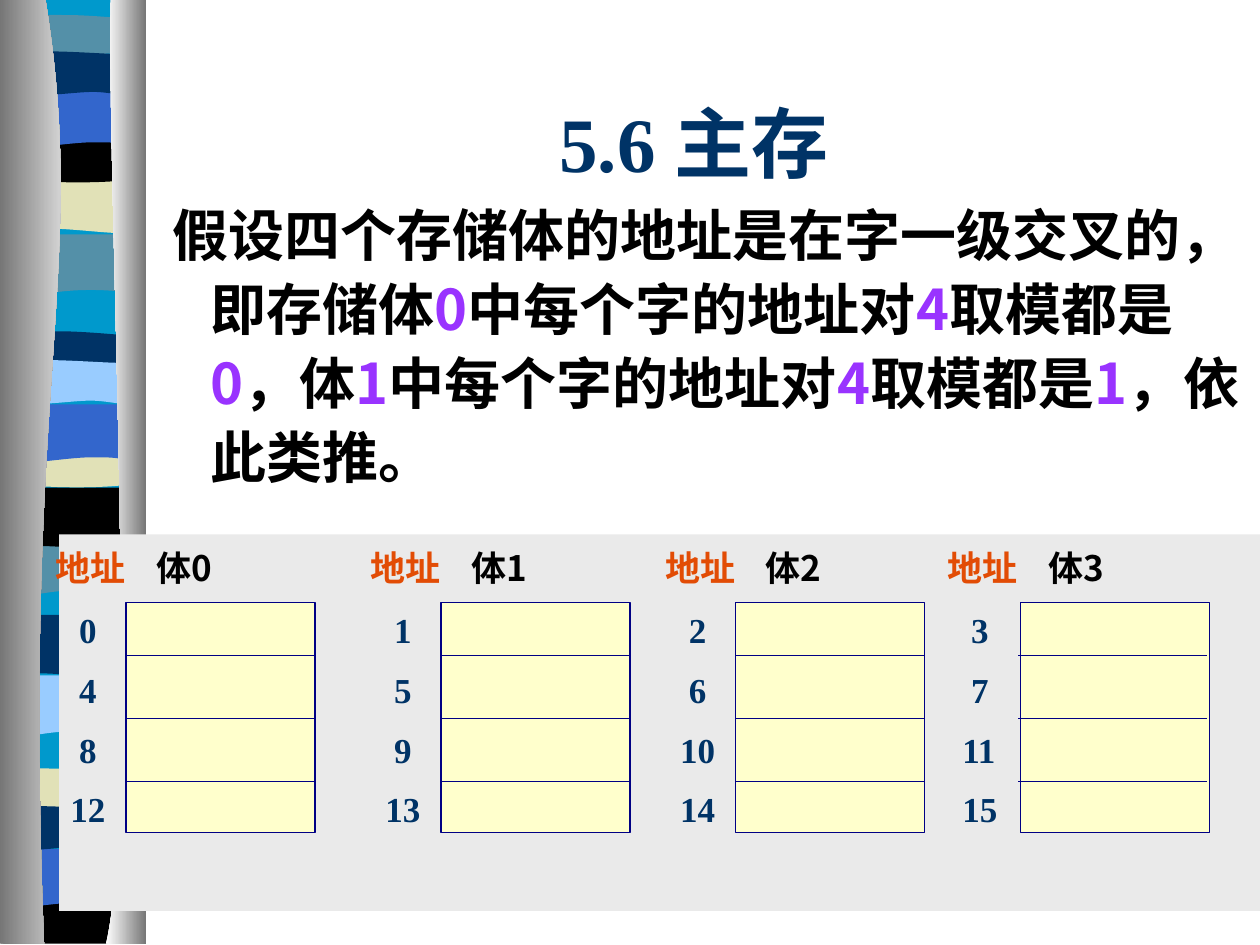
from lxml import etree
from pptx import Presentation
from pptx.dml.color import RGBColor
from pptx.enum.shapes import MSO_CONNECTOR, MSO_SHAPE
from pptx.enum.text import MSO_ANCHOR, MSO_AUTO_SIZE, PP_ALIGN
from pptx.oxml.ns import qn
from pptx.util import Inches, Pt

LINE, RECT = MSO_CONNECTOR.STRAIGHT, MSO_SHAPE.RECTANGLE
MIDDLE, CENTER = MSO_ANCHOR.MIDDLE, PP_ALIGN.CENTER
FIT = MSO_AUTO_SIZE.TEXT_TO_FIT_SHAPE
SANS, SERIF = "Noto Sans CJK SC", "Times New Roman"

HEX = {
    "cyan": "0099CC", "teal": "5490A8", "sand": "E1E1B7", "black": "000000",
    "blue": "3366CC", "navy": "003366", "sky": "99CCFF", "white": "FFFFFF",
    "dark": "767676", "panel": "EAEAEA", "cell": "FFFFCC", "rule": "000084",
    "mark": "9933FF", "rust": "E24C05",
}
RGB = {name: RGBColor.from_string(code) for name, code in HEX.items()}

prs = Presentation()
prs.slide_width, prs.slide_height = Inches(10), Inches(7.5)
slide = prs.slides.add_slide(prs.slide_layouts[6])
shapes = slide.shapes


def outline(steps, left=0, top=0):
    """Draw a closed shape; a step of 2 numbers is a line, of 6 a Bezier curve."""
    pts = [(Inches(left + step[i]), Inches(top + step[i + 1]))
           for step in steps for i in range(0, len(step), 2)]
    form = shapes.build_freeform(*pts[0])
    form.add_line_segments(pts[1:])
    shape = form.convert_to_shape()
    shape.shadow.inherit = False
    shape.line.fill.background()
    # Turn each run of three control points into one curve
    lines = iter(list(shape._element.iter(qn("a:lnTo"))))
    for step in steps[1:]:
        first = next(lines)
        if len(step) == 6:
            first.tag = qn("a:cubicBezTo")
            for _ in range(2):
                line = next(lines)
                first.append(line[0])
                line.getparent().remove(line)
    return shape


def style(run, size, color, font):
    run.font.size, run.font.bold, run.font.name = Pt(size), True, font
    run.font.color.rgb = RGB[color]
    props = run._r.get_or_add_rPr()
    east = etree.SubElement(props, qn("a:ea"))
    east.set("typeface", SANS)


# Ribbon of coloured bands between two curtains
BANDS = {
    "back": [(0.99, 0), (0.99, 7.48), (0, 7.48), (0, 0)],
    "wave": [(0.99, 0), (0.99, 0.47), (0.31, 0.38, 0.17, 0.54, 0, 0.47), (0, 0)],
    "sag": [(0.99, 0), (0.99, 0.48), (0.83, 0.55, 0.3, 0.42, 0, 0.48), (0, 0)],
    "cap": [(0.99, 0.05), (0.99, 0.29), (0.83, 0.33, 0.16, 0.33, 0, 0.29), (0, 0.05),
            (0.06, 0, 0.21, 0.01, 0.38, 0.01), (0.55, 0.01, 0.86, 0.04, 0.99, 0.05)],
    "dip": [(0.99, 0), (0.99, 0.33), (0.83, 0.38, 0.17, 0.38, 0, 0.33), (0, 0),
            (0.61, 0.05, 0.79, 0, 0.99, 0)],
    "arch": [(0.99, 0), (0.99, 0.47), (0.85, 0.42, 0.78, 0.42, 0.62, 0.42),
             (0.45, 0.42, 0.16, 0.47, 0, 0.47), (0, 0)],
    "roll": [(0.99, 0), (0.99, 0.3), (0.93, 0.36, 0.77, 0.3, 0.61, 0.3),
             (0.44, 0.3, 0.1, 0.36, 0, 0.3), (0, 0), (0.14, -0.05, 0.67, 0, 0.84, 0),
             (1, 0, 0.96, 0, 0.99, 0)],
    "base": [(0.99, 0), (0.99, 0.37), (0, 0.37), (0, 0), (0.61, 0.05, 0.79, 0, 0.99, 0)],
}
for kind, left, top, color in [
    ("back", 0.13, -0.01, "cyan"), ("wave", 0.12, 1.86, "teal"),
    ("sag", 0.16, 1.35, "sand"), ("cap", 0.16, 0.11, "teal"),
    ("dip", 0.12, 1.08, "black"), ("arch", 0.12, 0.71, "blue"),
    ("roll", 0.13, 0.43, "navy"), ("wave", 0.08, 4.24, "teal"),
    ("sag", 0.11, 3.87, "black"), ("cap", 0.11, 2.62, "navy"),
    ("dip", 0.11, 3.5, "sand"), ("arch", 0.11, 3.21, "blue"),
    ("roll", 0.11, 2.88, "sky"), ("wave", 0.05, 5.36, "sky"),
    ("sag", 0.09, 4.88, "navy"), ("cap", 0.08, 6.09, "sand"),
    ("base", 0.08, 7.12, "black"), ("arch", 0.04, 6.74, "blue"),
    ("roll", 0.04, 6.42, "navy"),
]:
    band = outline(BANDS[kind], left, top)
    band.fill.solid()
    band.fill.fore_color.rgb = RGB[color]

for steps, tones in [
    ([(0.36, -0.01), (0.71, 2.16, 0.17, 2.96, 0.35, 7.49), (0, 7.49), (0, -0.01)],
     ("dark", "white")),
    ([(0.88, -0.01), (0.84, 1.25, 1.11, 6.46, 0.84, 7.49), (1.16, 7.49), (1.16, -0.01)],
     ("white", "dark")),
]:
    fill = outline(steps).fill
    fill.gradient()
    fill.gradient_angle = 0
    for stop, tone in zip(fill.gradient_stops, tones):
        stop.color.rgb = RGB[tone]

# Body text, with the numbers marked
body = shapes.add_textbox(Inches(1.07), Inches(1.49), Inches(8.93), Inches(2.56))
frame = body.text_frame
frame.word_wrap, frame.auto_size = True, FIT
para = frame.paragraphs[0]
para.line_spacing, para.space_before = 1.1, Pt(8)
props = para._p.get_or_add_pPr()
props.set("marL", str(Inches(0.5)))
props.set("indent", str(Inches(-0.3)))
for part in ["假设四个存储体的地址是在字一级交叉的，即存储体", "0", "中每个字的地址对", "4",
             "取模都是", "0", "，体", "1", "中每个字的地址对", "4", "取模都是", "1",
             "，依此类推。"]:
    run = para.add_run()
    run.text = part
    style(run, 32, "mark" if part.isdigit() else "black", SANS)

# Four memory banks on a grey panel
panel = shapes.add_shape(RECT, Inches(0.47), Inches(4.24), Inches(9.53), Inches(2.99))
panel.shadow.inherit = False
panel.fill.solid()
panel.fill.fore_color.rgb = RGB["panel"]
panel.line.fill.background()

for bank, (left, edge) in enumerate([(1, 1), (3.5, 3.5), (5.84, 5.84), (8.08, 8.1)]):
    box = shapes.add_shape(RECT, Inches(edge), Inches(4.78), Inches(1.5), Inches(1.83))
    box.shadow.inherit = False
    box.fill.solid()
    box.fill.fore_color.rgb = RGB["cell"]
    rules = [box]
    for y in (5.2, 5.7, 6.2):
        rule = shapes.add_connector(LINE, Inches(left), Inches(y), Inches(left + 1.5), Inches(y))
        etree.SubElement(rule._element.spPr, qn("a:effectLst"))
        rules.append(rule)
    for item in rules:
        item.line.color.rgb = RGB["rule"]
        item.line.width = Pt(0.75)

    words = shapes.add_textbox(Inches(left - 0.54), Inches(4.82), Inches(0.67), Inches(1.82))
    words.text_frame.word_wrap = True
    words.text_frame.text = "\n".join(f"{n:>2}" for n in range(bank, 16, 4))
    for para in words.text_frame.paragraphs:
        para.line_spacing, para.space_before = 0.9, Pt(12.5)
        style(para.runs[0], 20, "navy", SERIF)

    head = shapes.add_textbox(Inches(left - 0.66), Inches(4.29), Inches(2.08), Inches(0.44))
    head.text_frame.word_wrap = True
    para = head.text_frame.paragraphs[0]
    para.space_before = Pt(12.5)
    tabs = etree.SubElement(para._p.get_or_add_pPr(), qn("a:tabLst"))
    etree.SubElement(tabs, qn("a:tab"), pos=str(Inches(0.8)), algn="l")
    for part, color in (("地址\t", "rust"), (f"体{bank}", "black")):
        run = para.add_run()
        run.text = part
        style(run, 20, color, SANS)

title = shapes.add_textbox(Inches(1.26), Inches(0.5), Inches(8.5), Inches(1.25))
frame = title.text_frame
frame.word_wrap, frame.vertical_anchor = True, MIDDLE
frame.text = "5.6 主存"
frame.paragraphs[0].alignment = CENTER
style(frame.paragraphs[0].runs[0], 44, "navy", SERIF)

prs.save("out.pptx")
